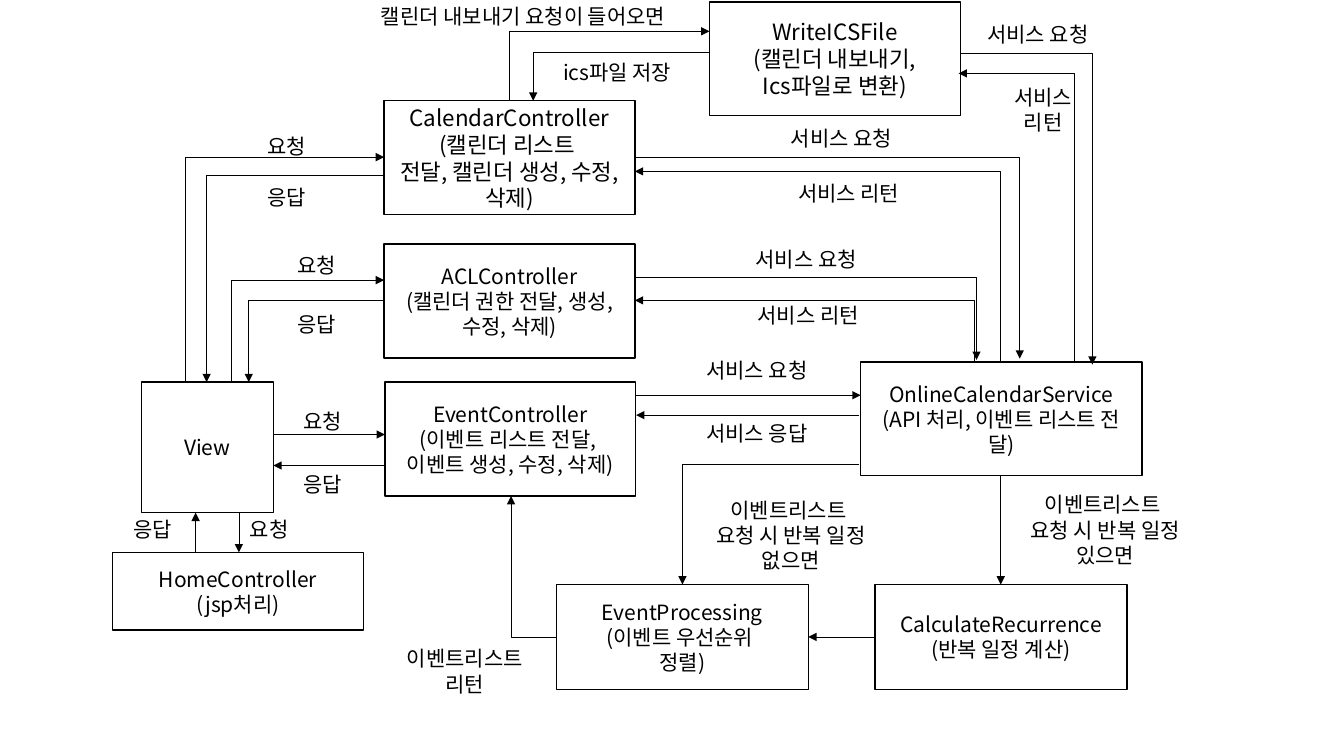
from pptx import Presentation
from pptx.dml.color import RGBColor
from pptx.enum.shapes import MSO_CONNECTOR, MSO_SHAPE
from pptx.enum.text import MSO_ANCHOR, MSO_AUTO_SIZE, PP_ALIGN
from pptx.oxml.ns import qn
from pptx.util import Cm, Pt
from lxml import etree

BLACK = RGBColor(0, 0, 0)
WHITE = RGBColor(255, 255, 255)
FONT = "Noto Sans CJK KR"
RECTANGLE = MSO_SHAPE.RECTANGLE
STRAIGHT, ELBOW = MSO_CONNECTOR.STRAIGHT, MSO_CONNECTOR.ELBOW
CENTER, LEFT = PP_ALIGN.CENTER, PP_ALIGN.LEFT
MIDDLE = MSO_ANCHOR.MIDDLE
FIT_SHAPE = MSO_AUTO_SIZE.SHAPE_TO_FIT_TEXT

LABEL_HEIGHTS = {1: 0.89, 2: 1.55, 3: 2.18}

# left, top, width, height in cm, font size, text ("\v" breaks a line)
COMPONENTS = [
    (2.84, 13.92, 6.32, 1.96, 15, "HomeController\n(jsp처리)"),
    (21.69, 9.12, 7.09, 2.87, 15,
     "OnlineCalendarService\n(API 처리, 이벤트 리스트 전달)"),
    (9.68, 6.15, 6.32, 2.87, 15, "ACLController\n(캘린더 권한 전달, 생성, 수정, 삭제)"),
    (14.02, 14.73, 6.35, 2.64, 15, "EventProcessing\n(이벤트 우선순위 \n정렬)"),
    (3.56, 9.63, 3.33, 3.28, 15, "View"),
    (9.7, 9.63, 6.32, 2.87, 15,
     "EventController\n(이벤트 리스트 전달, \v이벤트 생성, 수정, 삭제)"),
    (22.05, 14.73, 6.35, 2.64, 15, "CalculateRecurrence\n(반복 일정 계산)"),
    (9.68, 2.54, 6.32, 2.87, 16,
     "CalendarController\n(캘린더 리스트 \n전달, 캘린더 생성, 수정, 삭제)"),
    (17.88, 0.05, 6.32, 2.87, 16, "WriteICSFile\n(캘린더 내보내기,\nIcs파일로 변환)"),
]

# left, top, width in cm, text
SINGLE_LINE_LABELS = [
    (6.05, 12.88, 1.57, "요청"), (3.12, 12.9, 1.57, "응답"),
    (6.48, 3.25, 1.57, "요청"), (6.48, 4.52, 1.57, "응답"),
    (7.24, 6.25, 1.57, "요청"), (7.24, 7.72, 1.57, "응답"),
    (7.39, 10.16, 1.57, "요청"), (7.39, 11.76, 1.57, "응답"),
    (17.55, 8.89, 3.38, "서비스 요청"), (17.55, 10.46, 3.38, "서비스 응답"),
    (9.35, -0.03, 8.56, "캘린더 내보내기 요청이 들어오면"),
    (13.94, 1.37, 3.45, "ics파일 저장"),
]
CENTERED_LABELS = [
    (18.29, 3.05, 5.84, "서비스 요청"), (18.47, 4.42, 5.84, "서비스 리턴"),
    (17.4, 6.1, 5.84, "서비스 요청"), (17.45, 7.49, 5.84, "서비스 리턴"),
    (23.24, 0.41, 5.84, "서비스 요청"), (25.02, 2.01, 2.54, "서비스\n리턴"),
    (9.3, 16.15, 4.83, "이벤트리스트\n리턴"),
    (25.22, 12.27, 5.26, "이벤트리스트 \n요청 시 반복 일정\v있으면"),
    (17.3, 12.4, 5.26, "이벤트리스트 \n요청 시 반복 일정\v없으면"),
]

# start x, start y, end x, end y in cm; the arrowhead is at the end
STRAIGHT_ARROWS = [
    (9.7, 11.73, 6.89, 11.73), (6.91, 10.95, 9.7, 10.95),
    (6.02, 12.92, 6.02, 13.92), (4.93, 13.92, 4.93, 12.92),
    (25.22, 11.99, 25.22, 14.73), (22.05, 16.05, 20.37, 16.05),
    (21.64, 10.46, 16.03, 10.46), (16.03, 9.96, 21.69, 9.96),
]
ACROSS_THEN_VERTICAL_ARROWS = [
    (9.68, 4.42, 5.21, 9.63), (9.7, 7.57, 6.27, 9.63),
    (14.02, 16.05, 12.88, 12.5), (16, 3.96, 25.7, 9.04),
    (16, 6.99, 24.61, 9.07), (21.64, 11.71, 17.2, 14.73),
    (17.88, 1.32, 13.44, 2.54), (24.21, 1.35, 27.53, 9.19),
]
VERTICAL_THEN_ACROSS_ARROWS = [
    (4.67, 9.63, 9.68, 3.96), (5.84, 9.63, 9.68, 7.06),
    (24.56, 9.12, 16, 7.57), (25.22, 9.12, 16, 4.32),
    (12.83, 2.54, 17.88, 0.79), (27.08, 9.12, 24.16, 1.85),
]


def write_text(shape, text, size, alignment):
    """Fill a shape with text and format every run."""
    shape.text_frame.text = text
    for paragraph in shape.text_frame.paragraphs:
        paragraph.alignment = alignment
        for run in paragraph.runs:
            run.font.name = FONT
            run.font.size = Pt(size)
            run.font.color.rgb = BLACK
            east_asian = etree.SubElement(run.font._element, qn("a:ea"))
            east_asian.set("typeface", FONT)


def add_component(slide, left, top, width, height, size, text):
    """Add a white outlined box naming one component."""
    shape = slide.shapes.add_shape(
        RECTANGLE, Cm(left), Cm(top), Cm(width), Cm(height))
    shape.shadow.inherit = False
    shape.fill.solid()
    shape.fill.fore_color.rgb = WHITE
    shape.line.color.rgb = BLACK
    shape.line.width = Pt(1)
    shape.text_frame.vertical_anchor = MIDDLE
    write_text(shape, text, size, CENTER)


def add_label(slide, left, top, width, text, wrap):
    """Add a label; wrapped labels are centred in their width."""
    lines = len(text.splitlines())
    label = slide.shapes.add_textbox(
        Cm(left), Cm(top), Cm(width), Cm(LABEL_HEIGHTS[lines]))
    label.text_frame.word_wrap = wrap
    label.text_frame.auto_size = FIT_SHAPE
    write_text(label, text, 15, CENTER if wrap else LEFT)


def add_arrow(slide, start, end, kind=STRAIGHT, arrow_end="a:tailEnd"):
    """Add a thin connector with one arrowhead; elbows run across first."""
    connector = slide.shapes.add_connector(
        kind, *(Cm(value) for value in start + end))
    connector.line.color.rgb = BLACK
    connector.line.width = Pt(0.5)
    properties = connector._element.spPr
    if kind == ELBOW:
        properties.find(qn("a:prstGeom")).set("prst", "bentConnector2")
    arrowhead = etree.SubElement(properties.find(qn("a:ln")), qn(arrow_end))
    arrowhead.set("type", "triangle")
    etree.SubElement(properties, qn("a:effectLst"))


def main():
    """Build the calendar component diagram."""
    presentation = Presentation()
    presentation.slide_width, presentation.slide_height = Cm(33.87), Cm(19.05)
    slide = presentation.slides.add_slide(presentation.slide_layouts[6])
    for component in COMPONENTS:
        add_component(slide, *component)
    for label in SINGLE_LINE_LABELS:
        add_label(slide, *label, wrap=False)
    for label in CENTERED_LABELS:
        add_label(slide, *label, wrap=True)
    for arrow in STRAIGHT_ARROWS:
        add_arrow(slide, arrow[:2], arrow[2:])
    for arrow in ACROSS_THEN_VERTICAL_ARROWS:
        add_arrow(slide, arrow[:2], arrow[2:], ELBOW)
    for arrow in VERTICAL_THEN_ACROSS_ARROWS:
        add_arrow(slide, arrow[2:], arrow[:2], ELBOW, "a:headEnd")
    presentation.save("out.pptx")


main()
